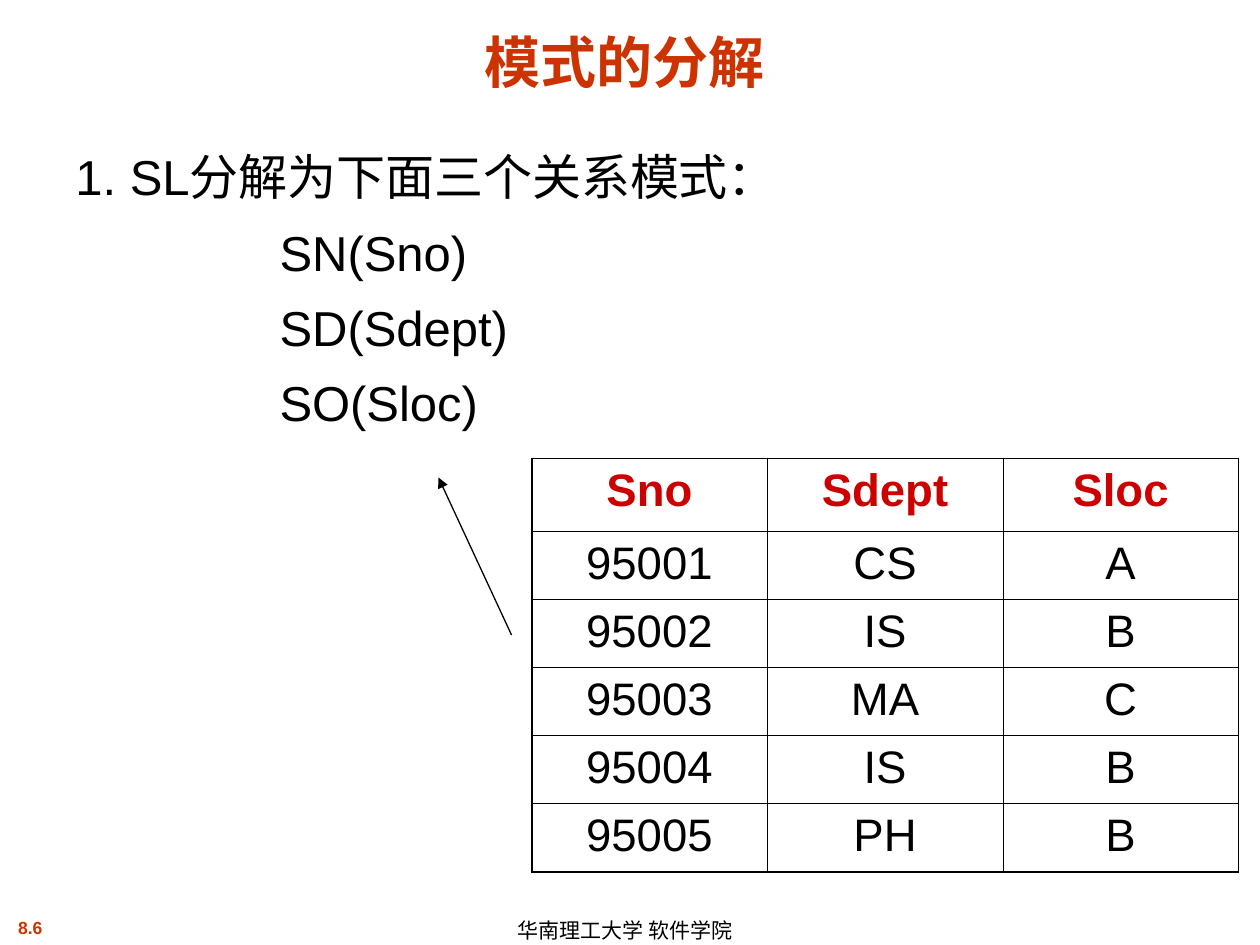
from lxml import etree
from pptx import Presentation
from pptx import util as u
from pptx.dml import color
from pptx.enum import shapes, text
from pptx.oxml import ns

COLORS = {"title": "CC3300", "header": "CC0000", "ink": "000000"}
ALIGN = text.PP_ALIGN
ANCHOR = text.MSO_ANCHOR


class SlideBuilder:
    """Draws the elements of one slide in a shared style."""

    font = "Arial"
    outer, inner = 1.08, 0.45

    def __init__(self, prs):
        self.s = prs.slides.add_slide(prs.slide_layouts[6])

    def run(self, p, words, size, ink="ink", bold=False):
        r = p.add_run()
        r.text = words
        r.font.name = self.font
        r.font.size = u.Pt(size)
        r.font.bold = bold
        r.font.color.rgb = color.RGBColor.from_string(COLORS[ink])

    def box(self, left, top, width, height, wrap=True, anchor=ANCHOR.TOP):
        sp = self.s.shapes.add_textbox(*map(u.Inches, (left, top, width, height)))
        tf = sp.text_frame
        tf.word_wrap = wrap
        tf.vertical_anchor = anchor
        return tf

    def label(self, words, size, at, align=ALIGN.LEFT, spacing=1.0, wrap=False,
              anchor=ANCHOR.TOP, **look):
        p = self.box(*at, wrap=wrap, anchor=anchor).paragraphs[0]
        p.alignment = align
        p.line_spacing = spacing
        self.run(p, words, size, **look)

    def outline(self, items, size, at):
        tf = self.box(*at)
        for i, (words, margin, indent) in enumerate(items):
            p = tf.add_paragraph() if i else tf.paragraphs[0]
            p.alignment = ALIGN.JUSTIFY
            p.line_spacing = 1.1
            p.space_before = u.Pt(6 if i else 0)
            pPr = p._p.get_or_add_pPr()
            pPr.set("marL", str(u.Inches(margin)))
            pPr.set("indent", str(u.Inches(indent)))
            self.run(p, words, size)

    def border(self, cell, side, width):
        tcPr = cell._tc.get_or_add_tcPr()
        ln = etree.SubElement(tcPr, ns.qn(f"a:ln{side}"), w=str(u.Pt(width)))
        fill = etree.SubElement(ln, ns.qn("a:solidFill"))
        etree.SubElement(fill, ns.qn("a:srgbClr"), val=COLORS["ink"])

    def table(self, rows, size, at, col_width, row_heights):
        n_rows, n_cols = len(rows), len(rows[0])
        frame = self.s.shapes.add_table(
            n_rows, n_cols, *map(u.Inches, (*at, col_width * n_cols, sum(row_heights))))
        table = frame.table
        table.first_row = table.horz_banding = False
        for col in table.columns:
            col.width = u.Inches(col_width)
        for i, (values, height) in enumerate(zip(rows, row_heights)):
            table.rows[i].height = u.Inches(height)
            for j, value in enumerate(values):
                cell = table.cell(i, j)
                cell.margin_left = cell.margin_right = u.Inches(0.21)
                edges = {"L": j == 0, "R": j == n_cols - 1,
                         "T": i == 0, "B": i == n_rows - 1}
                for side, is_outer in edges.items():
                    self.border(cell, side, self.outer if is_outer else self.inner)
                cell.fill.background()
                p = cell.text_frame.paragraphs[0]
                p.alignment = ALIGN.CENTER
                self.run(p, value, size, "ink" if i else "header", bold=i == 0)

    def arrow(self, start, end, width=0.75):
        sp = self.s.shapes.add_connector(
            shapes.MSO_CONNECTOR.STRAIGHT, *map(u.Inches, (*start, *end)))
        sp.line.width = u.Pt(width)
        sp.line.color.rgb = color.RGBColor.from_string(COLORS["ink"])
        etree.SubElement(sp.line._get_or_add_ln(), ns.qn("a:tailEnd"), type="triangle")
        etree.SubElement(sp._element.spPr, ns.qn("a:effectLst"))


def main():
    prs = Presentation()
    prs.slide_width, prs.slide_height = u.Inches(10), u.Inches(7.5)
    slide = SlideBuilder(prs)

    slide.label("8.6", 10, (-0.25, 7.23, 0.98, 0.27), ALIGN.CENTER,
                ink="title", bold=True)
    slide.label("华南理工大学 软件学院", 12, (4.01, 7.25, 2.24, 0.25),
                spacing=1.1, anchor=ANCHOR.MIDDLE)
    slide.label("模式的分解", 32, (0.25, 0.13, 9.42, 0.67), ALIGN.CENTER,
                wrap=True, anchor=ANCHOR.BOTTOM, ink="title", bold=True)

    students = [
        ("Sno", "Sdept", "Sloc"),
        ("95001", "CS", "A"),
        ("95002", "IS", "B"),
        ("95003", "MA", "C"),
        ("95004", "IS", "B"),
        ("95005", "PH", "B"),
    ]
    slide.table(students, 26, (4.22, 3.64), 1.87, [0.58] + [0.54] * 5)

    schemas = ["SN(Sno)", "SD(Sdept)", "SO(Sloc)"]
    items = [("1. SL分解为下面三个关系模式：", 0.81, -0.31)]
    items += [(schema, 2.12, 0) for schema in schemas]
    slide.outline(items, 28, (0, 1.07, 6.89, 2.52))

    slide.arrow((4.06, 5.04), (3.48, 3.79))
    prs.save("out.pptx")


if __name__ == "__main__":
    main()
